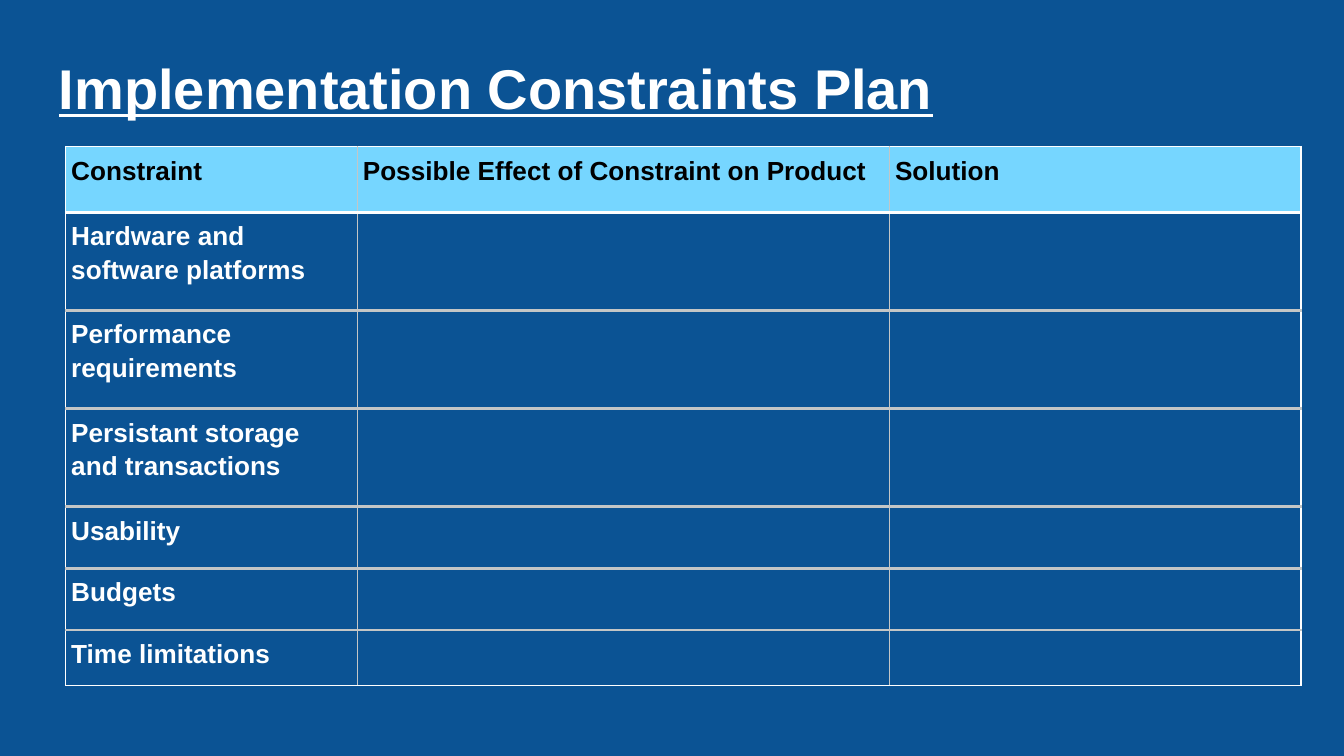
from dataclasses import dataclass

from lxml.etree import SubElement
from pptx import Presentation
from pptx.dml.color import RGBColor
from pptx.enum.text import MSO_ANCHOR
from pptx.oxml.ns import qn
from pptx.slide import Slide
from pptx.table import _Cell
from pptx.util import Inches, Pt


@dataclass(frozen=True)
class Theme:
    background: str = "0B5394"
    header: str = "76D6FF"
    header_text: str = "000000"
    text: str = "FFFFFF"
    frame: str = "FFFFFF"
    grid: str = "C4C6C6"
    font: str = "Arial"
    title_size: float = 30
    cell_size: float = 14
    thin: float = 0.75
    thick: float = 1.5


@dataclass(frozen=True)
class Row:
    height: float
    labels: tuple[str, ...]


THEME = Theme()
SLIDE_WIDTH = 10
SLIDE_HEIGHT = SLIDE_WIDTH * 9 / 16
COLUMN_WIDTHS = (2.17, 3.96, 3.06)
ROWS = (
    Row(0.49, ("Constraint", "Possible Effect of Constraint on Product", "Solution")),
    Row(0.73, ("Hardware and software platforms", "", "")),
    Row(0.73, ("Performance requirements", "", "")),
    Row(0.73, ("Persistant storage and transactions", "", "")),
    Row(0.46, ("Usability", "", "")),
    Row(0.46, ("Budgets", "", "")),
    Row(0.41, ("Time limitations", "", "")),
)


def add_run(paragraph, text: str, size: float, color: str, underline: bool = False) -> None:
    run = paragraph.add_run()
    run.text = text
    run.font.name = THEME.font
    run.font.size = Pt(size)
    run.font.bold = True
    run.font.underline = underline
    run.font.color.rgb = RGBColor.from_string(color)


def add_title(slide: Slide, text: str) -> None:
    title = slide.shapes.add_textbox(Inches(0.34), Inches(0.3), Inches(9.32), Inches(0.63))
    frame = title.text_frame
    frame.word_wrap = True
    frame.vertical_anchor = MSO_ANCHOR.TOP
    frame.margin_left = frame.margin_right = Inches(0.1)
    frame.margin_top = frame.margin_bottom = Inches(0.1)
    add_run(frame.paragraphs[0], text, THEME.title_size, THEME.text, underline=True)


def add_border(cell: _Cell, side: str, color: str, width: float) -> None:
    line = SubElement(cell._tc.get_or_add_tcPr(), qn(f"a:{side}"), w=str(Pt(width)))
    fill = SubElement(line, qn("a:solidFill"))
    SubElement(fill, qn("a:srgbClr"), val=color)


def draw_borders(cell: _Cell, row: int, column: int) -> None:
    """White around the table and under its header, grey between the other cells."""
    last_row, last_column = len(ROWS) - 1, len(COLUMN_WIDTHS) - 1

    def horizontal(edge: int) -> tuple[str, float]:
        color = THEME.frame if edge in (0, 1, last_row + 1) else THEME.grid
        width = THEME.thin if edge in (0, last_row + 1) else THEME.thick
        return color, width

    left = THEME.frame if column == 0 else THEME.grid
    right = THEME.frame if column == last_column else THEME.grid
    add_border(cell, "lnL", left, THEME.thin)
    add_border(cell, "lnR", right, THEME.thin)
    add_border(cell, "lnT", *horizontal(row))
    add_border(cell, "lnB", *horizontal(row + 1))


def fill_cell(cell: _Cell, label: str, is_header: bool) -> None:
    cell.margin_left = cell.margin_right = Inches(0.04)
    cell.margin_top = cell.margin_bottom = Inches(0.04)
    if is_header:
        cell.fill.solid()
        cell.fill.fore_color.rgb = RGBColor.from_string(THEME.header)
    else:
        cell.fill.background()
    if label:
        paragraph = cell.text_frame.paragraphs[0]
        paragraph.line_spacing = 1.15
        color = THEME.header_text if is_header else THEME.text
        add_run(paragraph, label, THEME.cell_size, color)


def add_constraints(slide: Slide) -> None:
    table = slide.shapes.add_table(
        len(ROWS), len(COLUMN_WIDTHS), Inches(0.49), Inches(1.09),
        Inches(sum(COLUMN_WIDTHS)), Inches(sum(row.height for row in ROWS)),
    ).table
    table.first_row = table.horz_banding = False
    for column, width in zip(table.columns, COLUMN_WIDTHS):
        column.width = Inches(width)
    for r, row in enumerate(ROWS):
        table.rows[r].height = Inches(row.height)
        for c, label in enumerate(row.labels):
            cell = table.cell(r, c)
            draw_borders(cell, r, c)
            fill_cell(cell, label, is_header=r == 0)


def main() -> None:
    presentation = Presentation()
    presentation.slide_width = Inches(SLIDE_WIDTH)
    presentation.slide_height = Inches(SLIDE_HEIGHT)
    slide = presentation.slides.add_slide(presentation.slide_layouts[6])
    slide.background.fill.solid()
    slide.background.fill.fore_color.rgb = RGBColor.from_string(THEME.background)
    add_title(slide, "Implementation Constraints Plan")
    add_constraints(slide)
    presentation.save("out.pptx")


if __name__ == "__main__":
    main()
